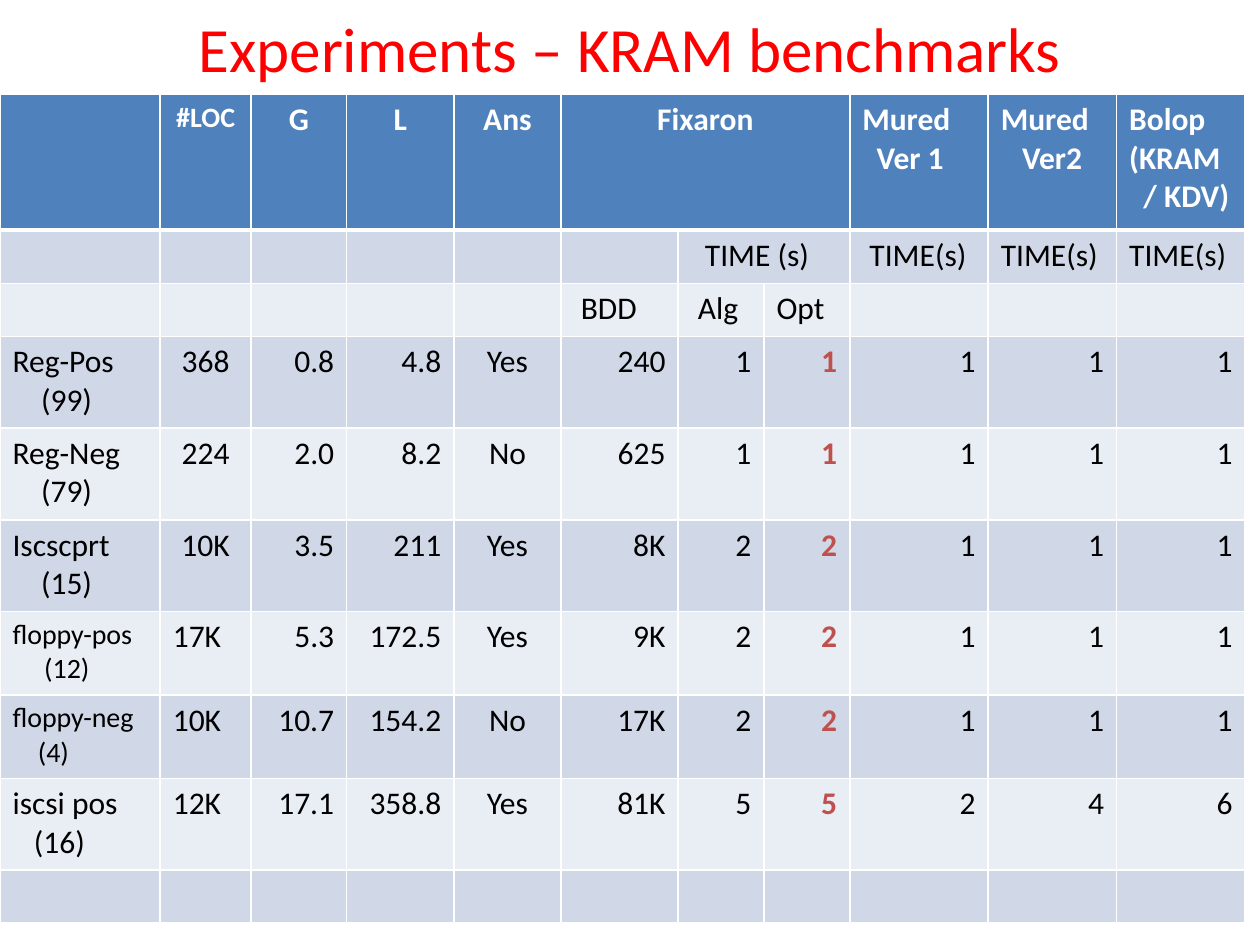
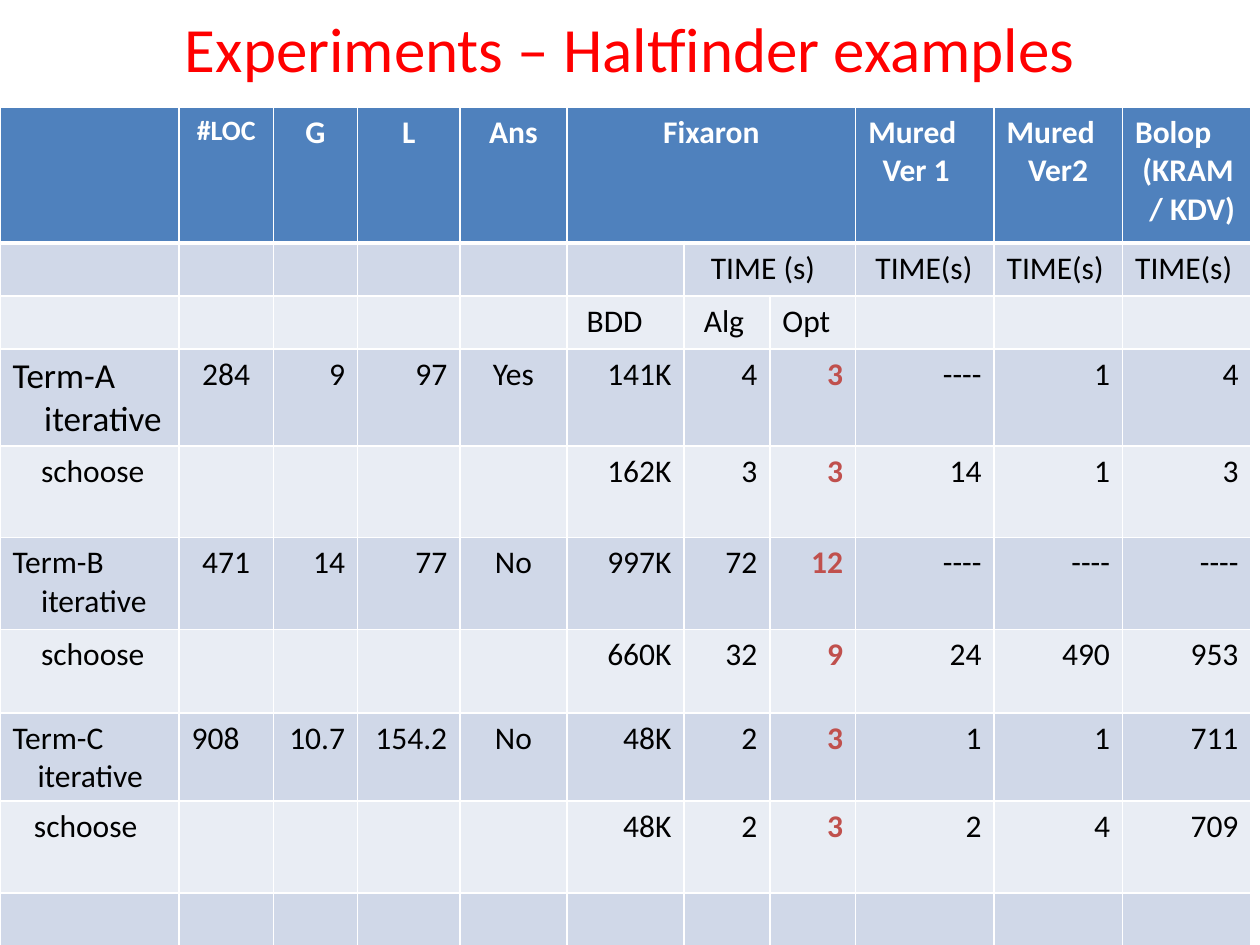
import pptx
import pptx.util
import pptx.dml.color
import pptx.enum.text
import pptx.oxml
from pptx.oxml.ns import qn
from lxml import etree

Cm, Pt = pptx.util.Cm, pptx.util.Pt
ALIGN = pptx.enum.text.PP_ALIGN
LEFT, CENTER, RIGHT = ALIGN.LEFT, ALIGN.CENTER, ALIGN.RIGHT

COLORS = {"title": "FF0000", "header": "4F81BD", "band_dark": "D0D8E8",
          "band_light": "E9EDF4", "grid": "FFFFFF", "header_text": "FFFFFF",
          "text": "000000", "best": "C0504D"}
FONT = "Calibri"
SPACE_EM = 0.226  # width of one indent step, as a share of the text size

# Shared grid, in cm; the first four column widths belong to each slide
RESULT_WIDTHS = [2.16, 2.36, 1.73, 1.73, 2.79, 2.59, 2.59]
ROW_HEIGHTS = [2.74, 1.07, 1.07, 1.85, 1.85, 1.85, 1.68, 1.68, 1.85, 1.07]
FIRST_RESULT_ROW = 3
LOC_COLUMN, OPT_COLUMN = 1, 7
VALUE_ALIGN = [LEFT, CENTER, RIGHT, RIGHT, CENTER] + [RIGHT] * 6

# Heading cells: (row, column) -> alignment, size, lines of (text, indent steps)
HEADINGS = {
    (0, 1): (CENTER, 16, [("#LOC", 0)]),
    (0, 2): (CENTER, 18, [("G", 0)]),
    (0, 3): (CENTER, 18, [("L", 0)]),
    (0, 4): (CENTER, 18, [("Ans", 0)]),
    (0, 5): (CENTER, 18, [("Fixaron", 0)]),
    (0, 8): (LEFT, 18, [("Mured", 0), ("Ver 1", 2)]),
    (0, 9): (LEFT, 18, [("Mured", 0), ("Ver2", 3)]),
    (1, 6): (LEFT, 18, [("TIME (s)", 2)]),
    (1, 8): (LEFT, 18, [("TIME(s)", 1)]),
    (1, 9): (LEFT, 18, [("TIME(s)", 0)]),
    (1, 10): (LEFT, 18, [("TIME(s)", 0)]),
    (2, 5): (LEFT, 18, [("BDD", 1)]),
    (2, 6): (LEFT, 18, [("Alg", 1)]),
    (2, 7): (LEFT, 18, [("Opt", 0)]),
}

# Each result: name size, name lines, then one value per remaining column
DRIVER_RESULTS = [
    (18, [("Reg-Pos", 0), ("(99)", 4)], "368 0.8 4.8 Yes 240 1 1 1 1 1"),
    (18, [("Reg-Neg", 0), ("(79)", 4)], "224 2.0 8.2 No 625 1 1 1 1 1"),
    (18, [("Iscscprt", 0), ("(15)", 4)], "10K 3.5 211 Yes 8K 2 2 1 1 1"),
    (16, [("floppy-pos", 0), ("(12)", 5)], "17K 5.3 172.5 Yes 9K 2 2 1 1 1"),
    (16, [("floppy-neg", 0), ("(4)", 4)], "10K 10.7 154.2 No 17K 2 2 1 1 1"),
    (18, [("iscsi pos", 0), ("(16)", 3)], "12K 17.1 358.8 Yes 81K 5 5 2 4 6"),
]
# A schoose run shares the program facts of the row above: "_" is an empty cell
TERM_RESULTS = [
    (20, [("Term-A", 0), ("iterative", 4)], "284 9 97 Yes 141K 4 3 ---- 1 4"),
    (18, [("schoose", 4)], "_ _ _ _ 162K 3 3 14 1 3"),
    (18, [("Term-B", 0), ("iterative", 4)], "471 14 77 No 997K 72 12 ---- ---- ----"),
    (18, [("schoose", 4)], "_ _ _ _ 660K 32 9 24 490 953"),
    (18, [("Term-C", 0), ("iterative", 3.5)], "908 10.7 154.2 No 48K 2 3 1 1 711"),
    (18, [("schoose", 3)], "_ _ _ _ 48K 2 3 2 4 709"),
]


def rgb(name):
    return pptx.dml.color.RGBColor.from_string(COLORS[name])


def write(frame, lines, align, size, color, bold=False):
    """Write one paragraph for each (text, indent steps) line."""
    style = {"name": FONT, "size": Pt(size), "bold": bold}
    for number, (text, steps) in enumerate(lines):
        paragraph = frame.add_paragraph() if number else frame.paragraphs[0]
        paragraph.alignment = align
        if steps:
            indent = Pt(steps * SPACE_EM * size)
            paragraph._p.get_or_add_pPr().set("marL", str(int(indent)))
        run = paragraph.add_run()
        run.text = text
        for attribute, value in style.items():
            setattr(run.font, attribute, value)
        run.font.color.rgb = rgb(color)


def draw_borders(cell, top, bottom):
    """Borders come before the fill in the cell properties."""
    properties = cell._tc.get_or_add_tcPr()
    widths = {"a:lnL": 1, "a:lnR": 1, "a:lnT": top, "a:lnB": bottom}
    for position, (side, width) in enumerate(widths.items()):
        line = etree.Element(qn(side), w=str(int(Pt(width))))
        fill = etree.SubElement(line, qn("a:solidFill"))
        etree.SubElement(fill, qn("a:srgbClr"), val=COLORS["grid"])
        properties.insert(position, line)


def add_title(slide, left, top, width, height, text):
    box = slide.shapes.add_textbox(Cm(left), Cm(top), Cm(width), Cm(height))
    box.text_frame.word_wrap = True
    box.text_frame.vertical_anchor = pptx.enum.text.MSO_ANCHOR.MIDDLE
    write(box.text_frame, [(text, 0)], CENTER, 36, "title")


def add_results_table(slide, left, top, fact_widths, last_tool_lines, results):
    widths = fact_widths + RESULT_WIDTHS
    table = slide.shapes.add_table(
        len(ROW_HEIGHTS), len(widths), Cm(left), Cm(top),
        Cm(sum(widths)), Cm(sum(ROW_HEIGHTS))).table
    for column, width in zip(table.columns, widths):
        column.width = Cm(width)
    for row, height in zip(table.rows, ROW_HEIGHTS):
        row.height = Cm(height)

    # Bands and grid lines, with a thick line under the header
    for r in range(len(ROW_HEIGHTS)):
        band = "header" if r == 0 else "band_dark" if r % 2 else "band_light"
        for c in range(len(widths)):
            cell = table.cell(r, c)
            cell.fill.solid()
            cell.fill.fore_color.rgb = rgb(band)
            draw_borders(cell, 3 if r == 1 else 1, 3 if r == 0 else 1)
    table.cell(0, 5).merge(table.cell(0, 7))
    table.cell(1, 6).merge(table.cell(1, 7))

    # Headings
    headings = {**HEADINGS, (0, 10): (LEFT, 18, last_tool_lines)}
    for (r, c), (align, size, lines) in headings.items():
        color = "text" if r else "header_text"
        write(table.cell(r, c).text_frame, lines, align, size, color, r == 0)

    # Results, with the optimised time picked out
    for r, (size, name_lines, values) in enumerate(results, FIRST_RESULT_ROW):
        write(table.cell(r, 0).text_frame, name_lines, LEFT, size, "text")
        for c, value in enumerate(values.split(), LOC_COLUMN):
            if value == "_":
                continue
            align = LEFT if c == LOC_COLUMN and r > 5 else VALUE_ALIGN[c]
            best = c == OPT_COLUMN
            write(table.cell(r, c).text_frame, [(value, 0)], align, 18,
                  "best" if best else "text", best)


def add_experiment_slide(deck, title, table_top, fact_widths, last_tool_lines, results):
    slide = deck.slides.add_slide(deck.slide_layouts[6])
    add_title(slide, 1.27, 0, 22.86, 1.9, title)
    add_results_table(slide, 0, table_top, fact_widths, last_tool_lines, results)


deck = pptx.Presentation()
deck.slide_width, deck.slide_height = Cm(25.4), Cm(19.05)
add_experiment_slide(deck, "Experiments – KRAM benchmarks", 1.9,
                     [3.23, 1.83, 1.93, 2.16],
                     [("Bolop (KRAM", 0), ("/ KDV)", 2)], DRIVER_RESULTS)
add_experiment_slide(deck, "Experiments – Haltfinder examples", 2.16,
                     [3.61, 1.9, 1.7, 2.06],
                     [("Bolop", 0), ("(KRAM", 1), ("/ KDV)", 2)], TERM_RESULTS)
deck.save("out.pptx")
